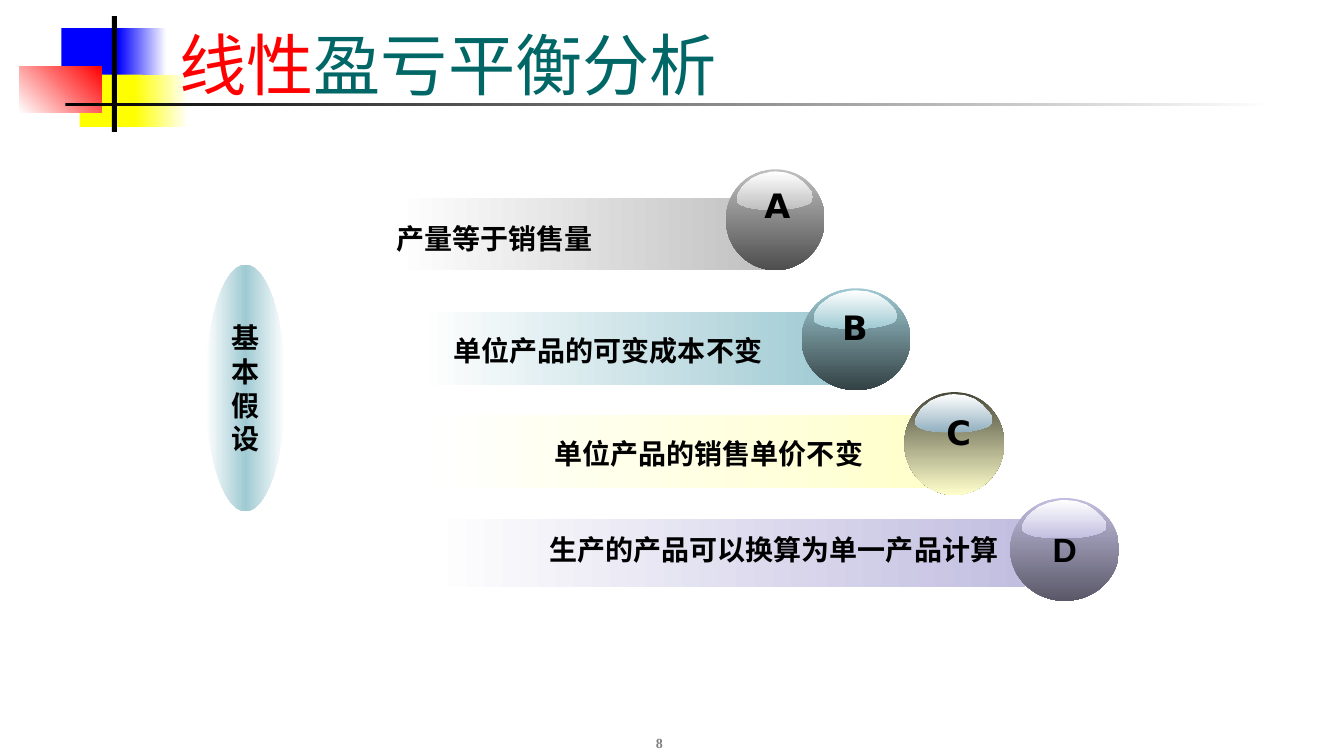
from dataclasses import dataclass

import pptx
import pptx.util
import pptx.dml.color
import pptx.enum.shapes
import pptx.enum.text
import pptx.oxml.ns
from lxml import etree

Inches = pptx.util.Inches
Align = pptx.enum.text.PP_ALIGN
Anchor = pptx.enum.text.MSO_ANCHOR
Preset = pptx.enum.shapes.MSO_SHAPE
qn = pptx.oxml.ns.qn


@dataclass(frozen=True)
class Theme:
    white: str = "FFFFFF"
    black: str = "000000"
    blue: str = "0000FF"
    yellow: str = "FFFF00"
    red: str = "FF0000"
    title: str = "006666"
    muted: str = "808080"
    silver: str = "C0C0C0"
    teal: str = "9FCAD3"
    cream: str = "FFFFCC"
    lilac: str = "C2BEE0"
    steel: str = "91AFBF"
    body_font: str = "Arial"
    letter_font: str = "DejaVu Sans"
    serif_font: str = "Times New Roman"
    title_size: int = 48
    letter_size: int = 24
    body_size: int = 20
    number_size: int = 10


THEME = Theme()

# Outline of the highlight on a ball, as fractions of its width and height
GLOSS = [
    (.99, .56), (1, .67), (.99, .77), (.94, .85), (.87, .9), (.78, .95),
    (.67, .98), (.6, 1), (.36, 1), (.27, .98), (.14, .94), (.05, .87),
    (.01, .81), (0, .72), (.01, .62), (.04, .51), (.07, .41), (.11, .33),
    (.2, .18), (.31, .08), (.44, .01), (.51, 0), (.64, .03), (.77, .13),
    (.87, .28), (.95, .46),
]


def rgb(value):
    return pptx.dml.color.RGBColor.from_string(value)


def paint(shape, colors, angle=0):
    """Fill with one colour, or with evenly spread gradient stops."""
    shape.shadow.inherit = False
    shape.line.fill.background()
    if len(colors) == 1:
        shape.fill.solid()
        shape.fill.fore_color.rgb = rgb(colors[0])
        return
    shape.fill.gradient()
    shape.fill.gradient_angle = angle
    stops = shape._element.spPr.find(".//" + qn("a:gsLst"))
    for stop in list(stops):
        stops.remove(stop)
    for i, color in enumerate(colors):
        position = str(round(100000 * i / (len(colors) - 1)))
        stop = etree.SubElement(stops, qn("a:gs"), pos=position)
        etree.SubElement(stop, qn("a:srgbClr"), val=color)


def add_preset(slide, preset, box, colors, angle=0):
    shape = slide.shapes.add_shape(preset, *map(Inches, box))
    paint(shape, colors, angle)
    return shape


def style(paragraph, size, font, color=THEME.black, bold=True, align=Align.CENTER):
    paragraph.alignment = align
    paragraph.font.size = pptx.util.Pt(size)
    paragraph.font.name = font
    paragraph.font.bold = bold
    paragraph.font.color.rgb = rgb(color)


def add_text(slide, box, text, size, font, anchor=Anchor.TOP, **look):
    frame = slide.shapes.add_textbox(*map(Inches, box)).text_frame
    frame.word_wrap = True
    frame.vertical_anchor = anchor
    frame.text = text
    style(frame.paragraphs[0], size, font, **look)
    return frame


def write_inside(shape, lines, size):
    frame = shape.text_frame
    frame.word_wrap = False
    frame.vertical_anchor = Anchor.MIDDLE
    frame.text = "\n".join(lines)
    for paragraph in frame.paragraphs:
        style(paragraph, size, THEME.body_font)


def add_ball(slide, box, colors, gloss_color):
    left, top, width, height = box
    ball = add_preset(slide, Preset.OVAL, box, colors, 270)
    gloss_left, gloss_top = left + 0.11 * width, top + 0.02
    gloss_width, gloss_height = 0.77 * width, 0.38
    points = [(Inches(gloss_left + x * gloss_width), Inches(gloss_top + y * gloss_height))
              for x, y in GLOSS]
    builder = slide.shapes.build_freeform(*points[0])
    builder.add_line_segments(points[1:], close=True)
    paint(builder.convert_to_shape(), [THEME.white, gloss_color], 270)
    return ball


def add_header(slide):
    blocks = [
        ((0.61, 0.28, 0.64, 0.52), [THEME.blue], 0),
        ((1.17, 0.28, 0.48, 0.52), [THEME.blue, THEME.white], 0),
        ((0.79, 0.74, 0.62, 0.52), [THEME.yellow], 0),
        ((1.33, 0.74, 0.54, 0.52), [THEME.yellow, THEME.white], 0),
        ((0.19, 0.66, 0.82, 0.46), [THEME.white, THEME.red], 45),
        ((1.11, 0.16, 0.05, 1.15), [THEME.black], 0),
        ((0.65, 1.02, 12, 0.03), [THEME.black, THEME.white], 0),
    ]
    for box, colors, angle in blocks:
        add_preset(slide, Preset.RECTANGLE, box, colors, angle)
    title = add_text(slide, (1.68, 0.16, 11.36, 0.92), "线性", THEME.title_size,
                     THEME.serif_font, Anchor.BOTTOM, color=THEME.title,
                     bold=False, align=Align.LEFT).paragraphs[0]
    title.runs[0].font.color.rgb = rgb(THEME.red)
    title.add_run().text = "盈亏平衡分析"


def add_assumptions(slide):
    # bar, bar colour, ball, ball colours, highlight colour, label, label box, alignment
    assumptions = [
        ((3.93, 1.96, 3.76, 0.72), THEME.silver,
         (7.2, 1.68, 0.98, 1), [THEME.silver, "4E4E4E"], THEME.silver,
         "产量等于销售量", (3.38, 2.15, 2.6, 0.43), Align.RIGHT),
        ((4.17, 3.1, 4.15, 0.72), THEME.teal,
         (7.95, 2.86, 1.08, 1.01), [THEME.teal, "334144"], THEME.teal,
         "单位产品的可变成本不变", (4.4, 3.26, 3.62, 0.43), Align.LEFT),
        ((4.09, 4.12, 5.15, 0.72), THEME.cream,
         (8.97, 3.89, 0.99, 1.02), ["48483A", THEME.cream], THEME.steel,
         "单位产品的销售单价不变", (5.11, 4.28, 3.55, 0.43), Align.RIGHT),
        ((4.26, 5.15, 5.91, 0.67), THEME.lilac,
         (10.02, 4.94, 1.08, 1.02), [THEME.lilac, "5A5868"], THEME.lilac,
         "生产的产品可以换算为单一产品计算", (5.35, 5.23, 5.12, 0.43), Align.LEFT),
    ]
    balls = []
    for bar, bar_color, ball, colors, gloss, label, label_box, align in assumptions:
        add_preset(slide, Preset.RECTANGLE, bar, [THEME.white, bar_color])
        balls.append(add_ball(slide, ball, colors, gloss))
        add_text(slide, label_box, label, THEME.body_size, THEME.body_font, align=align)
    # Letters A to C sit high on their balls, D in the middle
    for letter, left, top in [("A", 7.48, 1.79), ("B", 8.25, 3), ("C", 9.28, 4.04)]:
        add_text(slide, (left, top, 0.46, 0.5), letter, THEME.letter_size, THEME.letter_font)
    write_inside(balls[-1], ["D"], THEME.letter_size)


def main():
    deck = pptx.Presentation()
    deck.slide_width, deck.slide_height = Inches(13.33), Inches(7.5)
    slide = deck.slides.add_slide(deck.slide_layouts[6])

    add_header(slide)
    add_assumptions(slide)

    # Topic oval on the left
    topic = add_preset(slide, Preset.OVAL, (2.04, 2.63, 0.79, 2.44),
                       [THEME.white, THEME.teal, THEME.white])
    write_inside(topic, "基本假设", THEME.body_size)

    # Page number
    add_text(slide, (5.15, 7, 2.78, 0.5), "8", THEME.number_size, THEME.serif_font,
             Anchor.BOTTOM, color=THEME.muted)
    deck.save("out.pptx")


if __name__ == "__main__":
    main()
